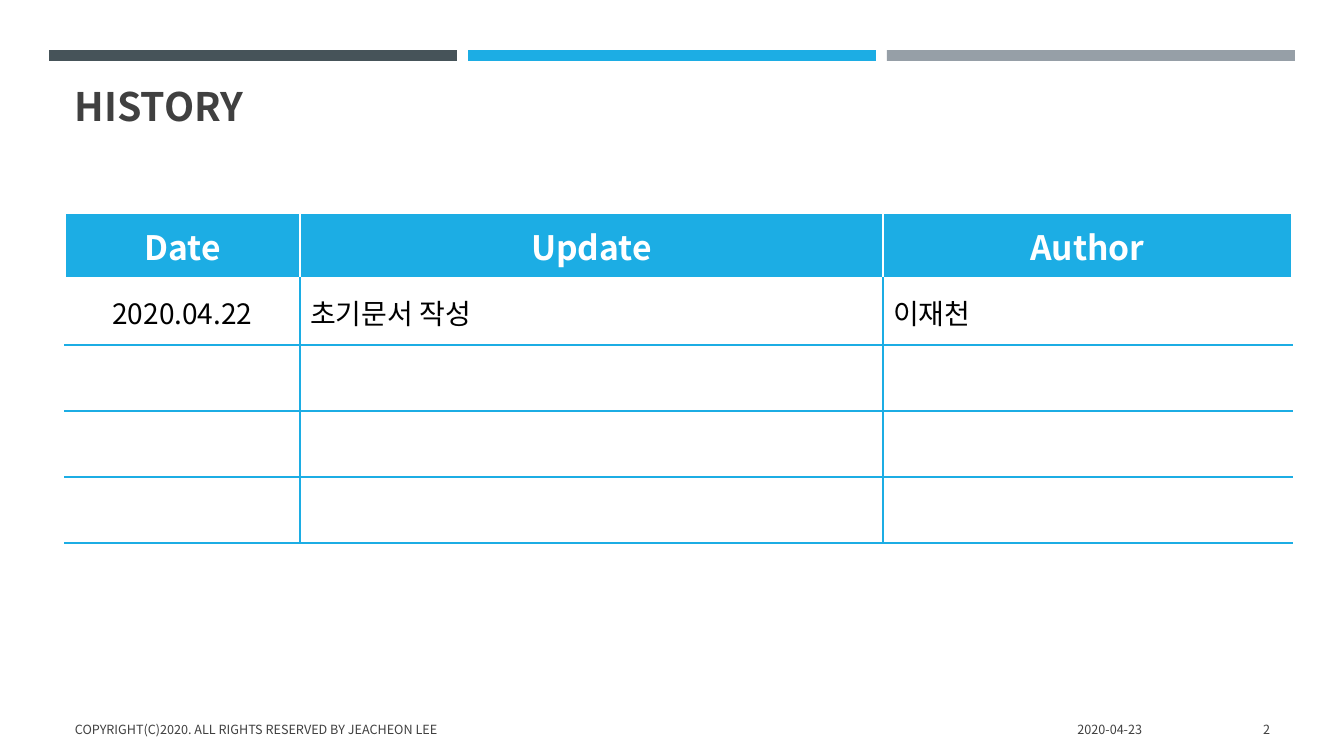
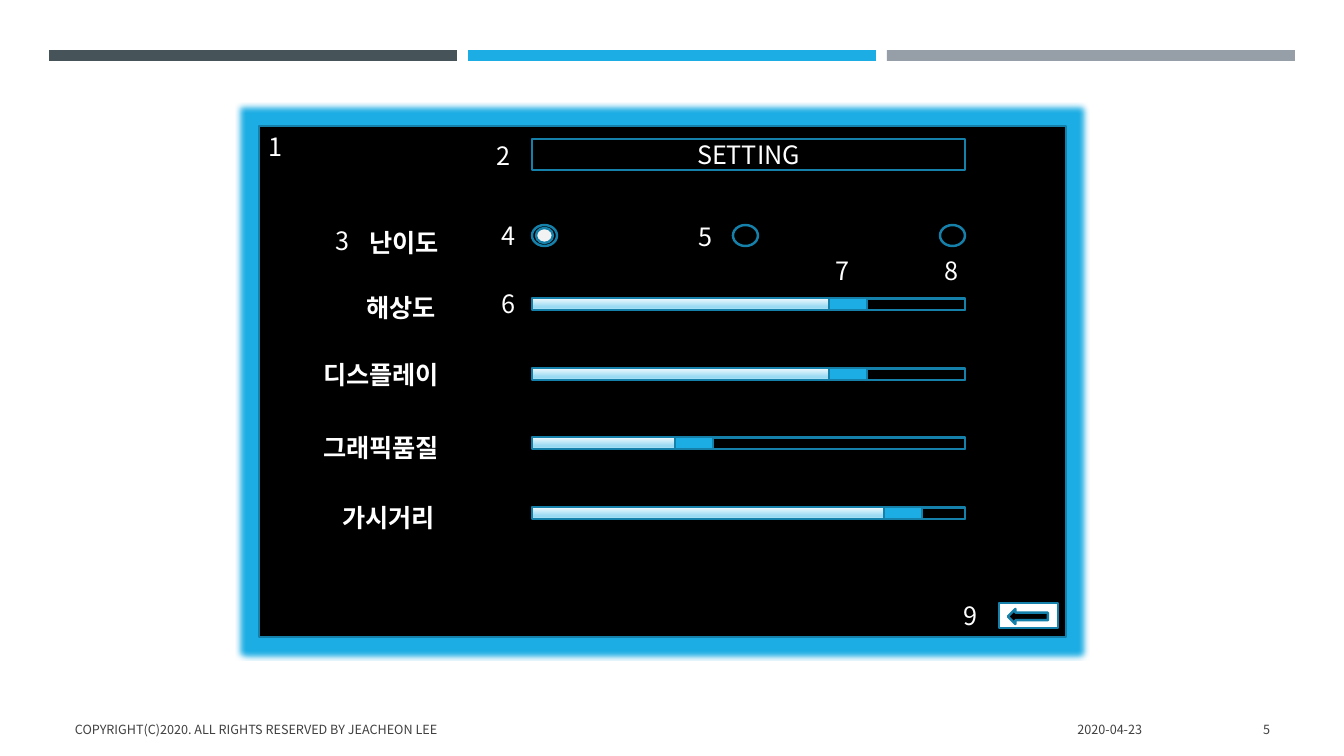
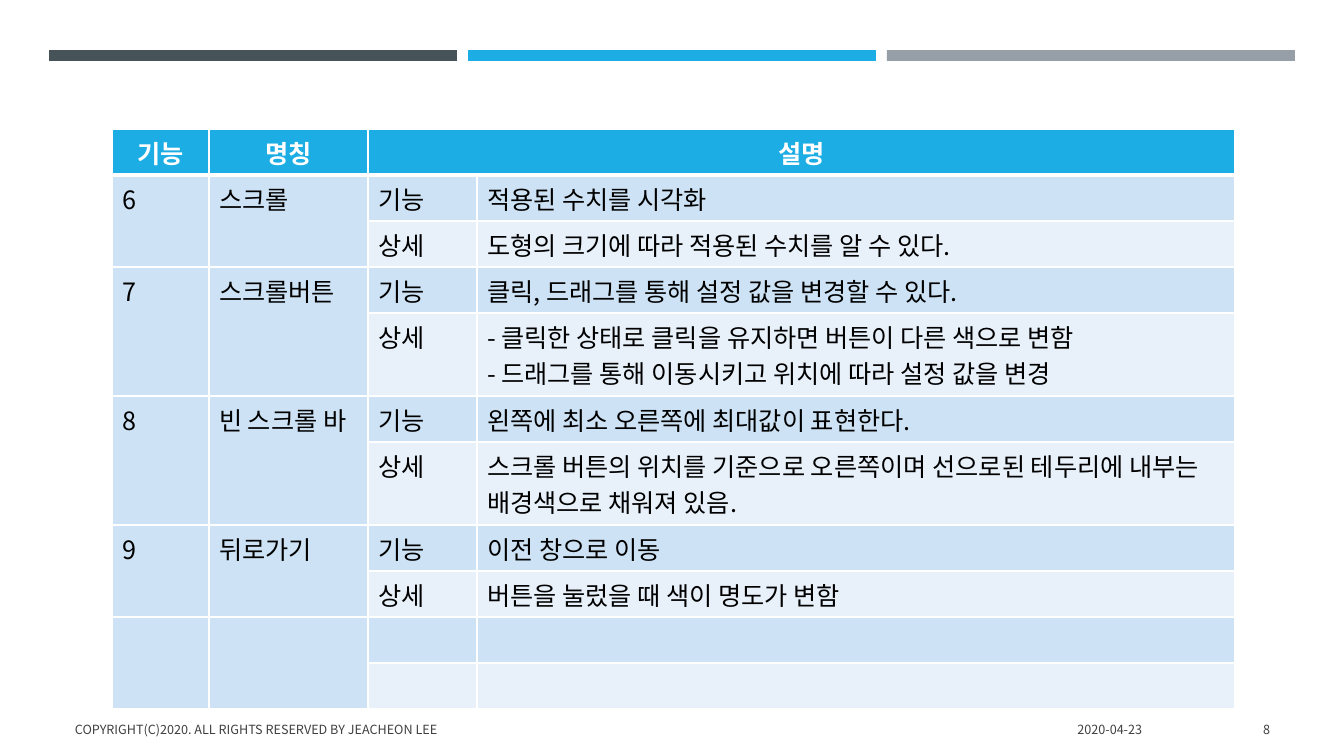
from lxml.etree import SubElement
from pptx import Presentation
from pptx.dml.color import RGBColor
from pptx.enum.shapes import MSO_SHAPE
from pptx.enum.text import MSO_ANCHOR, PP_ALIGN
from pptx.oxml.ns import qn
from pptx.util import Emu, Pt

RECT, OVAL, ARROW = MSO_SHAPE.RECTANGLE, MSO_SHAPE.OVAL, MSO_SHAPE.LEFT_ARROW
LEFT, CENTER, RIGHT = PP_ALIGN.LEFT, PP_ALIGN.CENTER, PP_ALIGN.RIGHT
TOP, MIDDLE = MSO_ANCHOR.TOP, MSO_ANCHOR.MIDDLE
BOTTOM = MSO_ANCHOR.BOTTOM
FONT = "Noto Sans CJK KR"
SCALE = 12192000 / 1344
COLORS = {
    "slate": "465359", "blue": "1CADE4", "gray": "969FA7", "ink": "404040",
    "edge": "1580A9", "black": "000000", "white": "FFFFFF", "dot": "F2F2F2",
    "band": "CDE3F5", "pale": "E8F1FA",
}
SHINE = [(0, "F4FBFE"), (74, "99DAF3"), (83, "99DAF3"), (100, "BBE6F7")]


def px(n):
    """Turn pixels into EMU."""
    return Emu(round(n * SCALE))


def rgb(name):
    """Look up a named colour."""
    return RGBColor.from_string(COLORS[name])


def write(frame, text, size, color, bold=False, align=LEFT):
    """Fill a text frame, one paragraph per line, and return the paragraphs."""
    frame.text = text
    for para in frame.paragraphs:
        para.alignment = align
        font = para.font
        font.size, font.bold = Pt(size), bold
        font.color.rgb = rgb(color)
        font.name = FONT
        SubElement(font._rPr, qn("a:ea"), typeface=FONT)
    return frame.paragraphs


def label(slide, box, text, size, color, bold=False, align=LEFT, anchor=TOP):
    """Add a text box."""
    frame = slide.shapes.add_textbox(*map(px, box)).text_frame
    frame.word_wrap = True
    frame.vertical_anchor = anchor
    return write(frame, text, size, color, bold, align)


def shape(slide, kind, box, fill=None, line="edge"):
    """Add a flat preset shape."""
    item = slide.shapes.add_shape(kind, *map(px, box))
    item.shadow.inherit = False
    if fill:
        item.fill.solid()
        item.fill.fore_color.rgb = rgb(fill)
    else:
        item.fill.background()
    if line:
        item.line.color.rgb = rgb(line)
        item.line.width = Pt(1.75)
    else:
        item.line.fill.background()
    return item


def glow(item, color, size):
    """Put a soft glow around a shape."""
    effects = item._element.spPr.find(qn("a:effectLst"))
    halo = SubElement(effects, qn("a:glow"), rad=str(Pt(size)))
    SubElement(halo, qn("a:srgbClr"), val=COLORS[color])


def shine(item):
    """Give a shape a vertical glossy gradient."""
    item.fill.gradient()
    item.fill.gradient_angle = 270
    stops = item._element.spPr.find(qn("a:gradFill")).find(qn("a:gsLst"))
    for old in list(stops):
        stops.remove(old)
    for place, color in SHINE:
        stop = SubElement(stops, qn("a:gs"), pos=str(place * 1000))
        SubElement(stop, qn("a:srgbClr"), val=color)


def frame_page(deck, number):
    """Add a slide with its top bars and footer."""
    slide = deck.slides.add_slide(deck.slide_layouts[6])
    for i, color in enumerate(("slate", "blue", "gray")):
        shape(slide, RECT, (49 + 419 * i, 50, 408, 11), color, None)
    notes = [
        (65, 762, "COPYRIGHT(C)2020. ALL RIGHTS RESERVED BY JEACHEON LEE", LEFT),
        (839, 313, "2020-04-23", RIGHT),
        (1164, 116, str(number), RIGHT),
    ]
    for x, w, text, align in notes:
        label(slide, (x, 709, w, 40), text, 9, "ink", align=align, anchor=MIDDLE)
    return slide


def grid(slide, x, y, cols, rows):
    """Add a table from its column widths and row heights."""
    box = (x, y, sum(cols), sum(rows))
    table = slide.shapes.add_table(len(rows), len(cols), *map(px, box)).table
    for col, w in zip(table.columns, cols):
        col.width = px(w)
    for row, h in zip(table.rows, rows):
        row.height = px(h)
    return table


def paint(cell, fill, sides):
    """Set the borders, given left, right, top, bottom, and then the fill."""
    props = cell._tc.get_or_add_tcPr()
    for side, (color, width) in zip("LRTB", sides):
        line = SubElement(props, qn("a:ln" + side), w=str(Pt(width)))
        solid = SubElement(line, qn("a:solidFill"))
        SubElement(solid, qn("a:srgbClr"), val=COLORS[color])
    if fill:
        cell.fill.solid()
        cell.fill.fore_color.rgb = rgb(fill)
    else:
        cell.fill.background()


def history(slide, x, y):
    """Draw the title and the table of changes."""
    title = label(slide, (x, 78, 1216, 57), "HISTORY", 28, "ink", True,
                  anchor=BOTTOM)
    title[0].line_spacing = 0.9
    table = grid(slide, x, y, (235, 583, 409), [66] * 5)
    texts = [("Date", "Update", "Author"),
             ("2020.04.22", "초기문서 작성", "이재천")]
    thin, thick, rule = ("white", 1), ("white", 3), ("blue", 1)
    for r in range(5):
        for c in range(3):
            cell = table.cell(r, c)
            cell.vertical_anchor = MIDDLE
            if r == 0:
                paint(cell, "blue", (thin, thin, thin, thick))
            else:
                paint(cell, None, (rule if c else thin, rule if c < 2 else thin,
                                   rule if r > 1 else thick, rule))
            if r < len(texts):
                head = r == 0
                write(cell.text_frame, texts[r][c], 24 if head else 20,
                      "white" if head else "black", head,
                      CENTER if head or c == 0 else LEFT)


def slider(slide, x, y, w, knob):
    """Draw a scroll bar whose button starts at knob."""
    shine(shape(slide, RECT, (x, y, w, 12)))
    shape(slide, RECT, (knob, y, 38, 12), "blue")
    rest = knob + 38
    shape(slide, RECT, (rest, y + 1, x + w - rest, 11), "black")


def panel(slide, x, y, w, h):
    """Draw the settings window with its numbered parts."""
    glow(shape(slide, RECT, (x, y, w, h), "black"), "blue", 8)
    left, wide = x + 273, 433
    head = shape(slide, RECT, (left, y + 13, wide, 31))
    head.text_frame.vertical_anchor = MIDDLE
    write(head.text_frame, "SETTING", 18, "white", align=CENTER)
    for dx in (273, 474, 681):
        shape(slide, OVAL, (x + dx, y + 99, 25, 21), "black")
    shape(slide, OVAL, (x + 277, y + 102, 17, 15), "dot")
    for dy, knob in ((172, 570), (242, 570), (311, 416), (381, 625)):
        slider(slide, left, y + dy, wide, x + knob)
    names = [("난이도", 190, 96), ("해상도", 187, 161), ("디스플레이", 190, 228),
             ("그래픽품질", 190, 301), ("가시거리", 186, 371)]
    for name, end, dy in names:
        label(slide, (x + end - 184, y + dy, 184, 40), name, 18, "white", True,
              RIGHT)
    shape(slide, RECT, (x + 740, y + 477, 59, 25), "white")
    shape(slide, ARROW, (x + 749, y + 483, 40, 15), "black")
    marks = [(0, 0), (228, 9), (67, 94), (233, 89), (430, 90), (233, 157),
             (567, 124), (676, 124), (695, 469)]
    for i, (dx, dy) in enumerate(marks, 1):
        label(slide, (x + dx, y + dy, 39, 40), str(i), 18, "white")


def details(slide, x, y):
    """Draw the table that explains each numbered part."""
    items = [
        ("6", "스크롤", "적용된 수치를 시각화",
         "도형의 크기에 따라 적용된 수치를 알 수 있다."),
        ("7", "스크롤버튼", "클릭, 드래그를 통해 설정 값을 변경할 수 있다.",
         "- 클릭한 상태로 클릭을 유지하면 버튼이 다른 색으로 변함\n"
         "- 드래그를 통해 이동시키고 위치에 따라 설정 값을 변경"),
        ("8", "빈 스크롤 바", "왼쪽에 최소 오른쪽에 최대값이 표현한다.",
         "스크롤 버튼의 위치를 기준으로 오른쪽이며 선으로된 테두리에 내부는 "
         "배경색으로 채워져 있음."),
        ("9", "뒤로가기", "이전 창으로 이동", "버튼을 눌렀을 때 색이 명도가 변함"),
        None,
    ]
    rows = [46, 46, 46, 46, 83, 46, 83, 46, 46, 46, 46]
    table = grid(slide, x, y, (97, 159, 109, 758), rows)
    thin, thick = ("white", 1), ("white", 3)
    for r in range(len(rows)):
        for c in range(4):
            fill = "blue" if r == 0 else "band" if r % 2 or c < 2 else "pale"
            paint(table.cell(r, c), fill, (thin, thin, thick if r == 1 else thin,
                                           thick if r == 0 else thin))
    table.cell(0, 2).merge(table.cell(0, 3))
    for c, text in enumerate(("기능", "명칭", "설명")):
        write(table.cell(0, c).text_frame, text, 18, "white", True, CENTER)
    for i, item in enumerate(items):
        r = 1 + 2 * i
        for c in (0, 1):
            table.cell(r, c).merge(table.cell(r + 1, c))
        if item:
            number, name, role, more = item
            texts = [(r, 0, number), (r, 1, name), (r, 2, "기능"), (r, 3, role),
                     (r + 1, 2, "상세"), (r + 1, 3, more)]
            for row, col, text in texts:
                write(table.cell(row, col).text_frame, text, 18, "black")


def main():
    """Build and save the deck."""
    deck = Presentation()
    deck.slide_width, deck.slide_height = px(1344), px(756)
    history(frame_page(deck, 2), 65, 213)
    panel(frame_page(deck, 5), 259, 126, 807, 511)
    details(frame_page(deck, 8), 112, 129)
    deck.save("out.pptx")


main()
